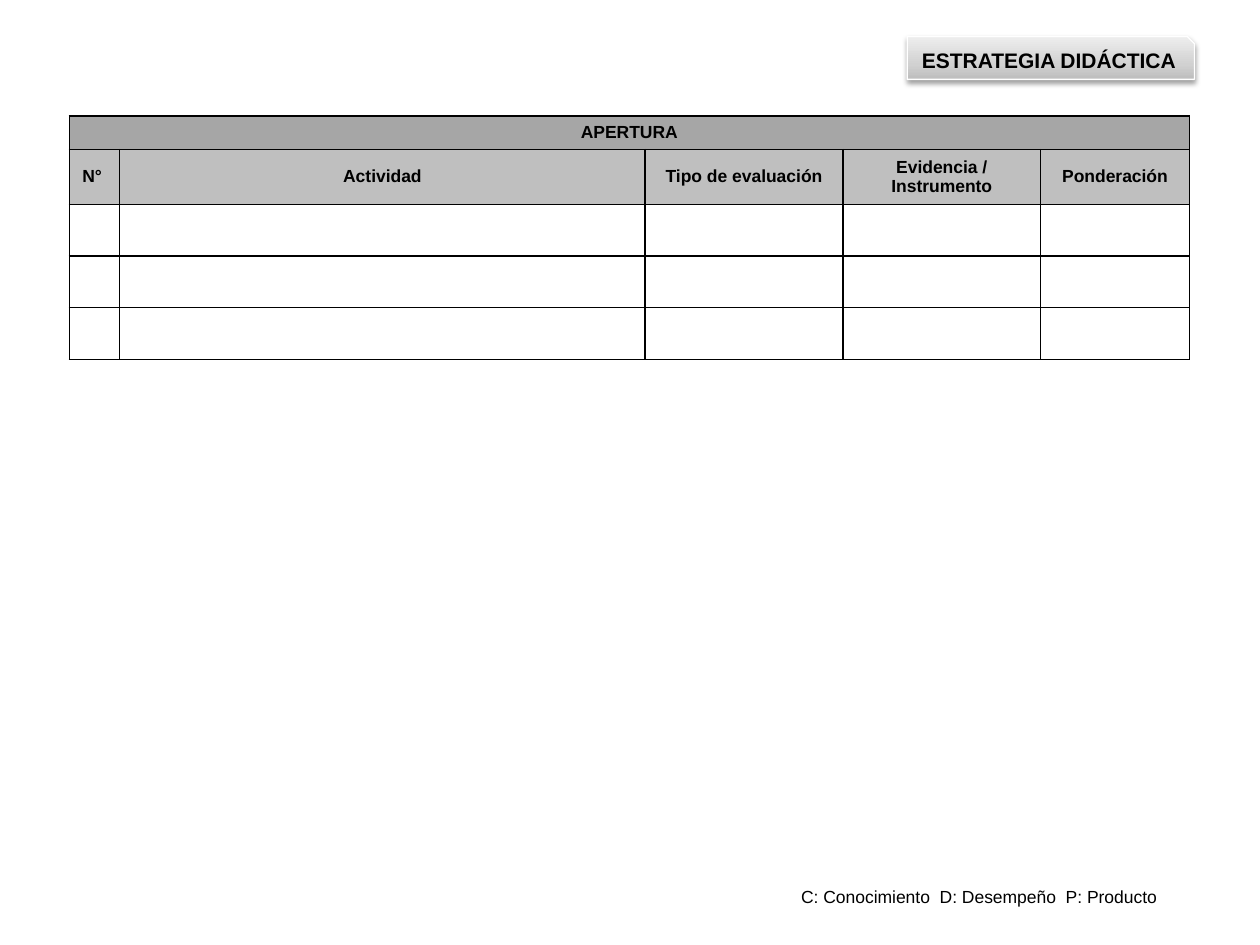
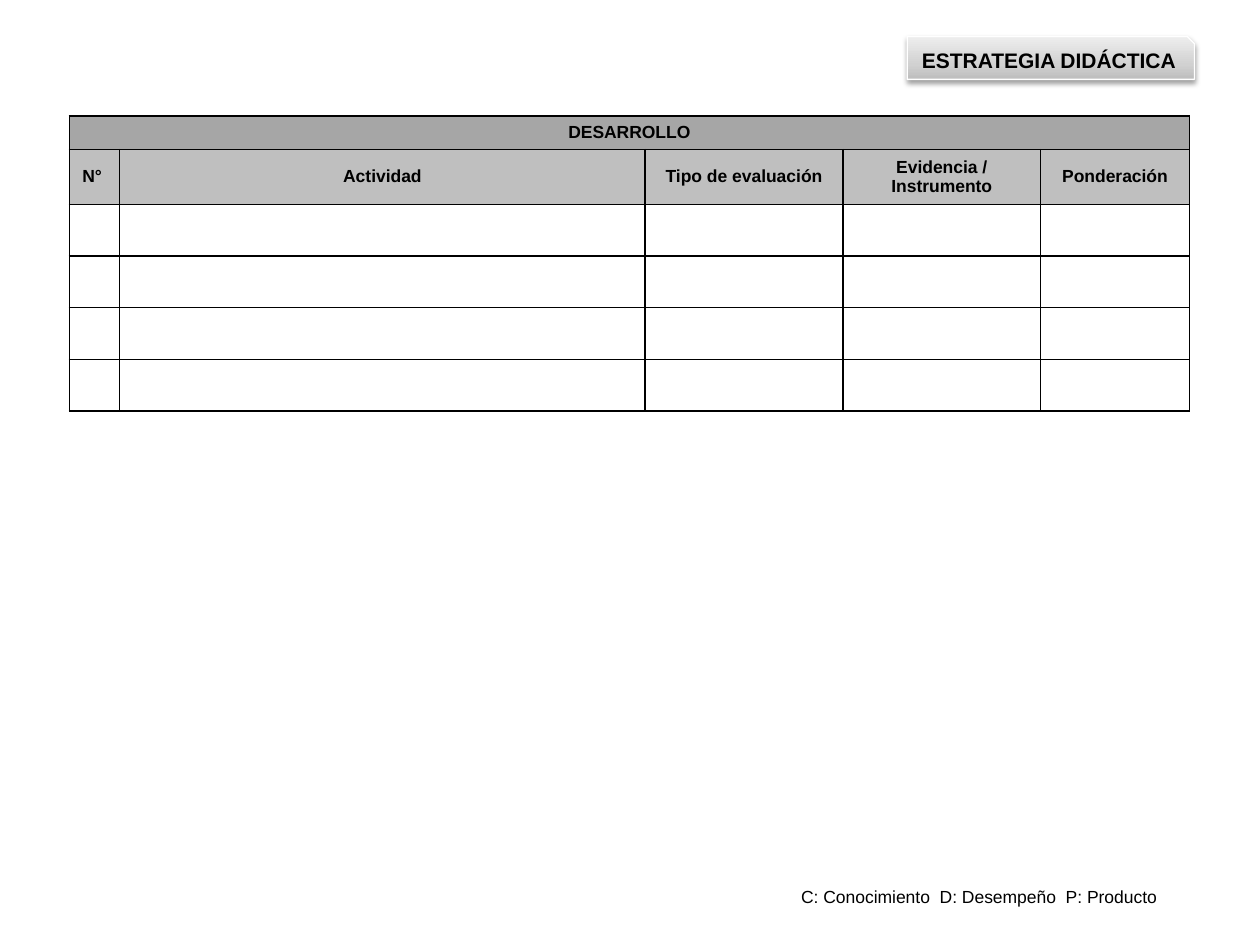
from copy import deepcopy
from dataclasses import dataclass

from lxml import etree
from pptx import Presentation
from pptx.dml.color import RGBColor
from pptx.enum import shapes, text
from pptx.oxml import ns
from pptx.util import Inches, Pt


@dataclass(frozen=True)
class Theme:
    font: str = "Arial"
    badge_size: int = 12
    body_size: int = 10
    ink: str = "000000"
    paper: str = "FFFFFF"
    phase_fill: str = "A6A6A6"
    heading_fill: str = "BFBFBF"
    badge_stops: tuple = ((0, "BDBDBD"), (0.35, "D1D1D1"), (1, "EEEEEE"))


THEME = Theme()
BADGE_TEXT = "ESTRATEGIA DIDÁCTICA"
LEGEND_TEXT = "C: Conocimiento  D: Desempeño  P: Producto"
COLUMNS = (
    ("N° ", 0.4),
    ("Actividad", 4.17),
    ("Tipo de evaluación", 1.57),
    ("Evidencia / Instrumento", 1.57),
    ("Ponderación", 1.18),
)
PHASE_HEIGHT, HEADING_HEIGHT, ACTIVITY_HEIGHT = 0.24, 0.43, 0.41
PHASES = (("APERTURA", 3), ("DESARROLLO", 4))  # phase, activity rows

BADGE_BOX = (7.2, 0.29, 2.28, 0.34)
LEGEND_BOX = (6.26, 6.98, 3.06, 0.27)
TABLE_CORNER = (0.55, 0.92)


def color(code):
    return RGBColor.from_string(code)


def add_xml(parent, tag, **attributes):
    return etree.SubElement(parent, ns.qn(tag), attributes)


def write(frame, words, size, bold=False, align=text.PP_ALIGN.CENTER):
    para = frame.paragraphs[0]
    para.text = words
    para.alignment = align
    para.font.name = THEME.font
    para.font.size = Pt(size)
    para.font.bold = bold
    para.font.color.rgb = color(THEME.ink)


# Section badge: gradient, white edge and soft shadow
def add_badge(page, box):
    badge = page.shapes.add_shape(
        shapes.MSO_SHAPE.SNIP_1_RECTANGLE, *map(Inches, box))
    badge.fill.gradient()
    badge.fill.gradient_angle = 90
    stop_list = badge.element.spPr.find(".//" + ns.qn("a:gsLst"))
    stop_list.append(deepcopy(stop_list[-1]))
    for stop, (position, code) in zip(badge.fill.gradient_stops, THEME.badge_stops):
        stop.position = position
        stop.color.rgb = color(code)
    badge.line.color.rgb = color(THEME.paper)
    badge.line.width = Pt(0.75)

    badge.shadow.inherit = False
    effects = badge.element.spPr.find(ns.qn("a:effectLst"))
    shadow = add_xml(effects, "a:outerShdw", blurRad=str(Pt(3.1)),
                     dist=str(Pt(1.6)), dir="5400000", rotWithShape="0")
    shade = add_xml(shadow, "a:srgbClr", val=THEME.ink)
    add_xml(shade, "a:alpha", val="38000")

    badge.text_frame.word_wrap = True
    badge.text_frame.vertical_anchor = text.MSO_ANCHOR.MIDDLE
    write(badge.text_frame, BADGE_TEXT, THEME.badge_size, bold=True)


# Legend of evidence types at the foot of the page
def add_legend(page, box):
    legend = page.shapes.add_textbox(*map(Inches, box))
    legend.text_frame.word_wrap = False
    legend.text_frame.auto_size = text.MSO_AUTO_SIZE.SHAPE_TO_FIT_TEXT
    write(legend.text_frame, LEGEND_TEXT, THEME.body_size,
          align=text.PP_ALIGN.LEFT)


def style_cell(cell, fill):
    properties = cell._tc.get_or_add_tcPr()
    for side in ("a:lnL", "a:lnR", "a:lnT", "a:lnB"):
        line = add_xml(properties, side, w=str(Pt(1)))
        add_xml(add_xml(line, "a:solidFill"), "a:srgbClr", val=THEME.ink)
    cell.fill.solid()
    cell.fill.fore_color.rgb = color(fill)


# Activity table: phase row, heading row, then empty rows to fill in
def add_activity_table(page, corner, phase, activity_count):
    heights = [PHASE_HEIGHT, HEADING_HEIGHT] + [ACTIVITY_HEIGHT] * activity_count
    width = sum(column_width for _, column_width in COLUMNS)
    table = page.shapes.add_table(
        len(heights), len(COLUMNS),
        *map(Inches, (*corner, width, sum(heights)))).table
    table.first_row = table.horz_banding = False
    for row, height in zip(table.rows, heights):
        row.height = Inches(height)

    fills = [THEME.phase_fill, THEME.heading_fill] + [THEME.paper] * activity_count
    for row, fill in zip(table.rows, fills):
        for cell in row.cells:
            style_cell(cell, fill)

    table.cell(0, 0).merge(table.cell(0, len(COLUMNS) - 1))
    write(table.cell(0, 0).text_frame, phase, THEME.body_size, bold=True)
    for index, (heading, column_width) in enumerate(COLUMNS):
        table.columns[index].width = Inches(column_width)
        cell = table.cell(1, index)
        cell.vertical_anchor = text.MSO_ANCHOR.MIDDLE
        write(cell.text_frame, heading, THEME.body_size, bold=True)


def add_phase_page(deck, phase, activity_count):
    page = deck.slides.add_slide(deck.slide_layouts.get_by_name("Blank"))
    add_badge(page, BADGE_BOX)
    add_legend(page, LEGEND_BOX)
    add_activity_table(page, TABLE_CORNER, phase, activity_count)


def main():
    deck = Presentation()
    deck.slide_width, deck.slide_height = Inches(10), Inches(7.5)
    for phase, activity_count in PHASES:
        add_phase_page(deck, phase, activity_count)
    deck.save("out.pptx")


if __name__ == "__main__":
    main()
